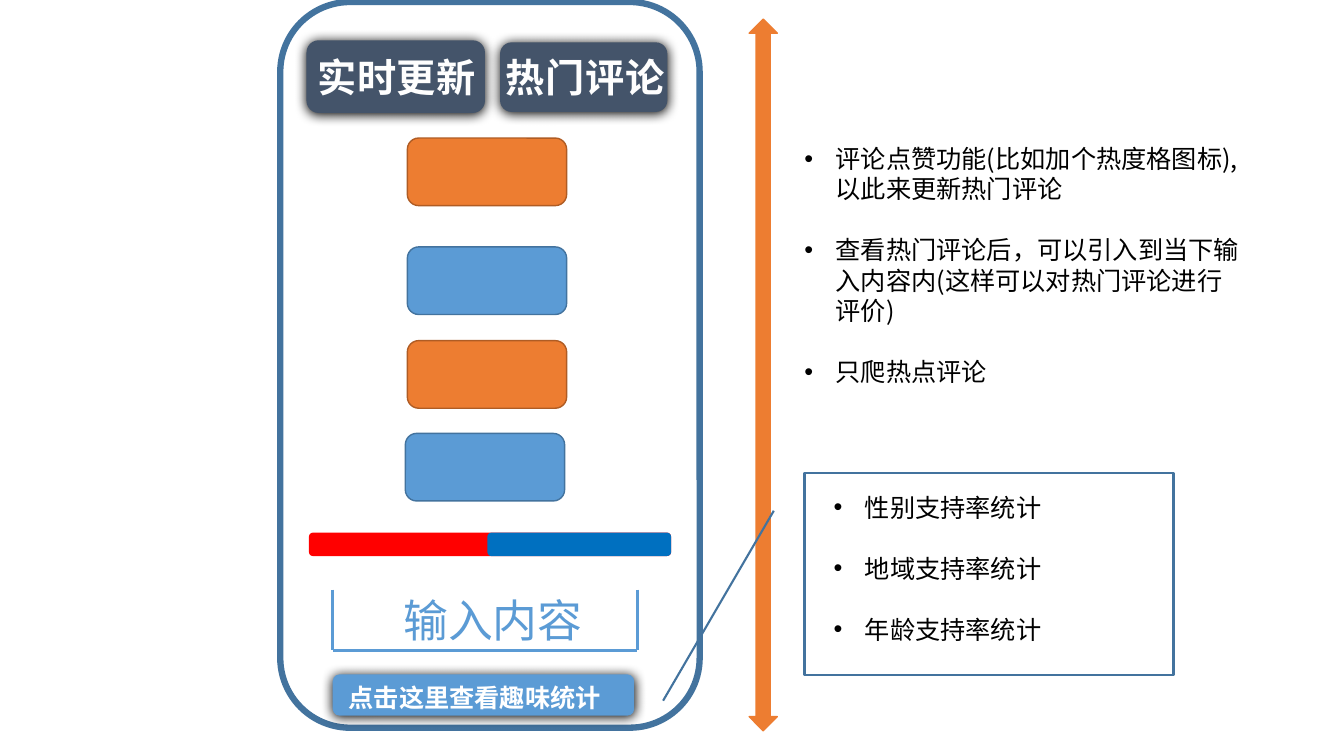
from lxml.etree import SubElement
from pptx import Presentation
from pptx.dml.color import RGBColor
from pptx.enum.shapes import MSO_CONNECTOR, MSO_SHAPE as Kind
from pptx.enum.text import PP_ALIGN as Align
from pptx.oxml import parse_xml
from pptx.oxml.ns import nsdecls, qn
from pptx.util import Pt

PX = 9144  # 100 px to the inch
SIZE = 1333, 750
LATIN, HAN = "Calibri", "Noto Sans CJK SC"
COLORS = {
    "white": "FFFFFF", "pale": "FEFEFE", "black": "000000", "blue": "5B9BD5",
    "edge": "43739E", "orange": "ED7D31", "rust": "AF5C24", "slate": "44546A",
    "red": "FF0000", "deep": "0070C0",
}

PHONE = 278, 2, 416, 720
CARDS = [  # left, top, fill, line
    (404, 245, "blue", "edge"),
    (404, 137, "orange", "rust"),
    (404, 338, "orange", "rust"),
    (402, 430, "blue", "edge"),
]
CARD = 158, 67
ARROW = 743, 19, 28, 706
TABS = [  # button, text box, words
    ((304, 40, 177, 72), (303, 48, 181, 57), "实时更新"),
    ((496, 42, 166, 69), (490, 48, 181, 57), "热门评论"),
]
FIELD = 330, 585, 632, 645  # left, top, right, bottom
BARS = [((307, 529, 358, 22), "red"), ((484, 529, 181, 22), "deep")]
NOTES = [
    "评论点赞功能(比如加个热度格图标),以此来更新热门评论",
    "查看热门评论后，可以引入到当下输入内容内(这样可以对热门评论进行评价)",
    "只爬热点评论",
]
STATS = ["性别支持率统计", "地域支持率统计", "年龄支持率统计"]

deck = Presentation()
deck.slide_width, deck.slide_height = (n * PX for n in SIZE)
slide = deck.slides.add_slide(deck.slide_layouts[6])
shapes = slide.shapes


def color(name):
    return RGBColor.from_string(COLORS[name])


def block(kind, box, fill, line=None, width=1):
    item = shapes.add_shape(kind, *(n * PX for n in box))
    item.shadow.inherit = False
    item.fill.solid()
    item.fill.fore_color.rgb = color(fill)
    if line:
        item.line.color.rgb = color(line)
        item.line.width = Pt(width)
    else:
        item.line.fill.background()
    return item


def glow(item):
    """Give the shape a dark blurred shadow just below it."""
    effects = item._element.spPr.find(qn("a:effectLst"))
    effects.append(parse_xml(
        f'<a:outerShdw {nsdecls("a")} blurRad="{Pt(8.5)}" dist="{Pt(1)}" '
        'dir="5400000" algn="t" rotWithShape="0">'
        f'<a:srgbClr val="{COLORS["black"]}"/></a:outerShdw>'))


def rule(*ends):
    item = shapes.add_connector(MSO_CONNECTOR.STRAIGHT, *(n * PX for n in ends))
    item.line.color.rgb = color("blue")
    item.line.width = Pt(2.25)
    SubElement(item._element.spPr, qn("a:effectLst"))


def write(box, lines, size, face, ink, bold=False, wrap=True,
          align=Align.LEFT, bullet=False):
    frame = shapes.add_textbox(*(n * PX for n in box)).text_frame
    frame.word_wrap = wrap
    frame.text = "\n".join(lines)
    for i, para in enumerate(frame.paragraphs):
        para.alignment = align
        para.line_spacing = Pt(size * 1.21)
        if i:
            para.space_before = Pt(size * 1.21)
        if bullet:
            props = para._p.get_or_add_pPr()
            props.set("marL", str(31 * PX))
            props.set("indent", str(-31 * PX))
            SubElement(props, qn("a:buFont"), typeface="Arial")
            SubElement(props, qn("a:buChar"), char="•")
        font = para.font
        font.size, font.bold, font.name = Pt(size), bold, face
        font.color.rgb = color(ink)
        SubElement(font._element, qn("a:ea"), typeface=face)
    return frame


def trim(frame):
    """Space the letters slightly and outline them in blue."""
    props = frame.paragraphs[0].runs[0].font._element
    props.set("spc", "50")
    props.insert(0, parse_xml(
        f'<a:ln {nsdecls("a")} w="{Pt(0.75)}"><a:solidFill>'
        f'<a:srgbClr val="{COLORS["blue"]}"/></a:solidFill></a:ln>'))


block(Kind.ROUNDED_RECTANGLE, PHONE, "white", "edge", 4.5)
for left, top, fill, line in CARDS:
    block(Kind.FLOWCHART_ALTERNATE_PROCESS, (left, top, *CARD), fill, line)
block(Kind.UP_DOWN_ARROW, ARROW, "orange", "orange")

for button, _, _ in TABS:
    glow(block(Kind.ROUNDED_RECTANGLE, button, "slate"))
for _, box, words in TABS:
    trim(write(box, [words], 28, LATIN, "pale", True, False, Align.CENTER))

left, top, right, bottom = FIELD
for x in (left, right):
    rule(x, top, x, bottom)
rule(left, bottom, right, bottom)
write((389, 583, 200, 64), ["输入内容"], 32, LATIN, "blue", wrap=False,
      align=Align.CENTER)

for box, fill in BARS:
    block(Kind.ROUNDED_RECTANGLE, box, fill, fill)
write((788, 137, 451, 252), NOTES, 18, HAN, "black", bullet=True)

glow(block(Kind.FLOWCHART_ALTERNATE_PROCESS, (330, 669, 299, 41), "blue"))
write((336, 672, 286, 40), ["点击这里查看趣味统计"], 18, HAN, "white", True)

block(Kind.LINE_CALLOUT_1, (798, 469, 366, 201), "white", "edge", 1.5)
write((817, 483, 360, 162), STATS, 18, HAN, "black", bullet=True)

deck.save("out.pptx")
